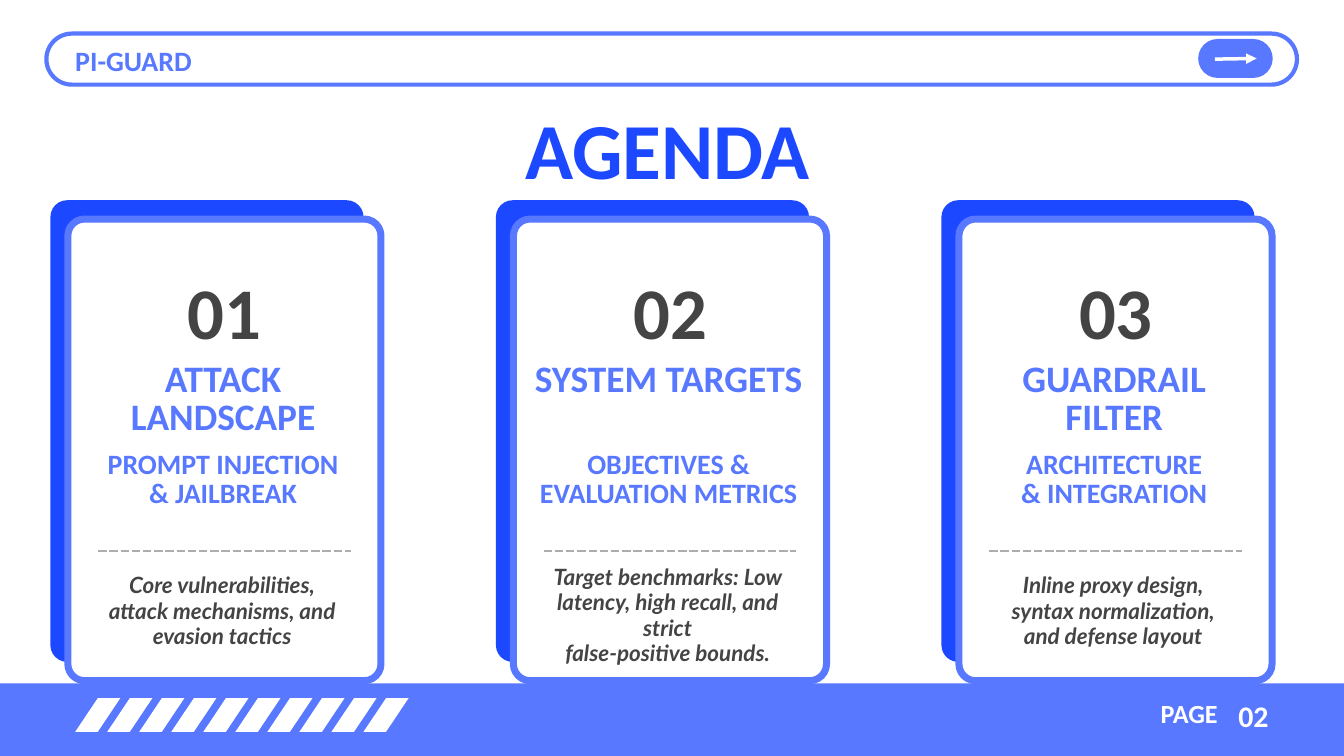
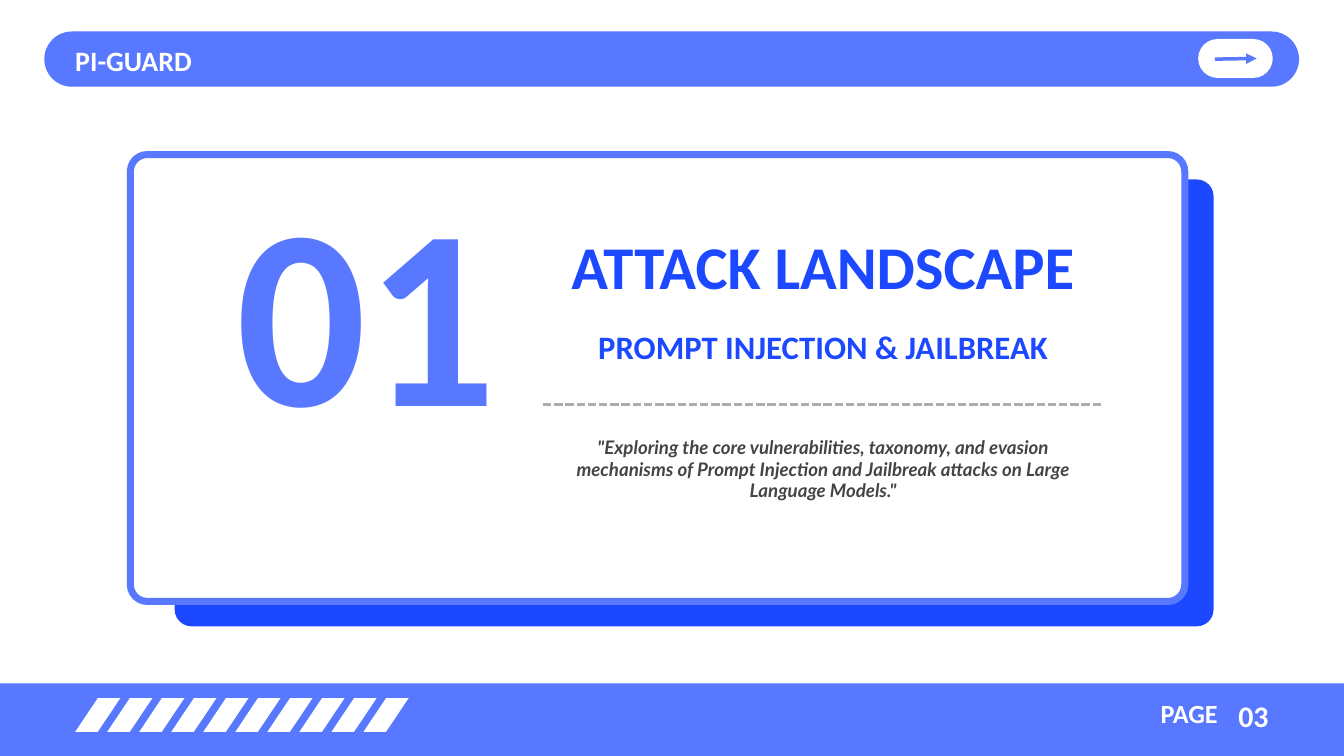
"""Build the agenda and first section slide of the PI-GUARD presentation."""
from pptx import Presentation
from pptx.dml.color import RGBColor
from pptx.enum.dml import MSO_LINE
from pptx.enum.shapes import MSO_CONNECTOR, MSO_SHAPE
from pptx.enum.text import MSO_ANCHOR, MSO_AUTO_SIZE, PP_ALIGN
from pptx.oxml.xmlchemy import OxmlElement
from pptx.util import Inches, Pt

RECTANGLE = MSO_SHAPE.RECTANGLE
ROUNDED = MSO_SHAPE.ROUNDED_RECTANGLE
PARALLELOGRAM = MSO_SHAPE.PARALLELOGRAM
STRAIGHT = MSO_CONNECTOR.STRAIGHT
DASH = MSO_LINE.SQUARE_DOT
TOP = MSO_ANCHOR.TOP
NO_AUTOFIT = MSO_AUTO_SIZE.NONE
LEFT, CENTER, RIGHT = PP_ALIGN.LEFT, PP_ALIGN.CENTER, PP_ALIGN.RIGHT

COLORS = {
    "white": "FFFFFF",
    "blue": "5778FF",
    "deep": "1C49FF",
    "ink": "444444",
    "grey": "ADADAD",
}
HEADING_FONT, BODY_FONT = "Calibri", "Lato"
TITLE_ONLY = 5
CORNER_RADIUS = 0.25
CARD_PITCH = 6.63
STRIPE_COUNT, STRIPE_PITCH = 10, 4.29 / 9

AGENDA_CARDS = [
    ("01", "ATTACK LANDSCAPE", ["PROMPT INJECTION", "& JAILBREAK"], 8.52,
     ["Core vulnerabilities, attack mechanisms, and evasion tactics"]),
    ("02", "SYSTEM TARGETS", ["OBJECTIVES & EVALUATION METRICS"], 8.4,
     ["Target benchmarks: Low latency, high recall, and strict",
      "false-positive bounds."]),
    ("03", "GUARDRAIL FILTER", ["ARCHITECTURE", "& INTEGRATION"], 8.52,
     ["Inline proxy design, syntax normalization, and defense layout"]),
]


def color(name):
    return RGBColor.from_string(COLORS[name])


def add_block(slide, kind, box, fill=None, line=None, width=0, adjustment=None):
    shape = slide.shapes.add_shape(kind, *map(Inches, box))
    shape.shadow.inherit = False
    if fill:
        shape.fill.solid()
        shape.fill.fore_color.rgb = color(fill)
    else:
        shape.fill.background()
    if line:
        shape.line.color.rgb = color(line)
        shape.line.width = Pt(width)
    else:
        shape.line.fill.background()
    if adjustment is not None:
        shape.adjustments[0] = adjustment


def add_card(slide, box, fill, line=None):
    add_block(slide, ROUNDED, box, fill, line, 7.5, CORNER_RADIUS / min(box[2:]))


def add_line(slide, start, end, line, width, dashed=False, arrow=False):
    connector = slide.shapes.add_connector(STRAIGHT, *map(Inches, start + end))
    connector.line.color.rgb = color(line)
    connector.line.width = Pt(width)
    if dashed:
        connector.line.dash_style = DASH
    if arrow:
        tail = OxmlElement("a:tailEnd")
        tail.set("type", "triangle")
        connector.line._get_or_add_ln().append(tail)
    connector._element.spPr.append(OxmlElement("a:effectLst"))


def prepare_frame(shape):
    frame = shape.text_frame
    frame.word_wrap = True
    frame.auto_size = NO_AUTOFIT
    frame.vertical_anchor = TOP
    frame.margin_left = frame.margin_right = 0
    frame.margin_top = frame.margin_bottom = 0
    return frame


def format_paragraph(paragraph, text, size, spacing, ink, align=CENTER,
                     font=HEADING_FONT, italic=False, before=0):
    paragraph.alignment = align
    paragraph.line_spacing = Pt(spacing)
    paragraph.space_before = Pt(before)
    run = paragraph.add_run()
    run.text = text
    run.font.name = font
    run.font.size = Pt(size)
    run.font.bold = True
    run.font.italic = italic
    run.font.color.rgb = color(ink)


def add_text(slide, box, lines, size, spacing, ink, **style):
    frame = prepare_frame(slide.shapes.add_textbox(*map(Inches, box)))
    for index, text in enumerate(lines):
        paragraph = frame.add_paragraph() if index else frame.paragraphs[0]
        format_paragraph(paragraph, text, size, spacing, ink, **style)


def set_title(slide, box, text, size, spacing):
    title = slide.shapes.title
    title.left, title.top, title.width, title.height = map(Inches, box)
    frame = prepare_frame(title)
    format_paragraph(frame.paragraphs[0], text, size, spacing, "deep")
    return frame


def add_header(slide, fill, accent):
    add_block(slide, ROUNDED, (0.69, 0.5, 18.61, 0.76), fill, "blue", 4.5, 0.5)
    add_block(slide, ROUNDED, (17.83, 0.58, 1.11, 0.58), accent, adjustment=0.5)
    add_line(slide, (18.08, 0.88), (18.7, 0.87), fill or "white", 3.75, arrow=True)
    add_text(slide, (1.12, 0.56, 12.43, 0.57), ["PI-GUARD"], 30, 42, accent, align=LEFT)


def add_footer(slide, page):
    add_block(slide, RECTANGLE, (0, 10.17, 20, 1.08), "blue")
    for index in range(STRIPE_COUNT):
        box = (1.12 + index * STRIPE_PITCH, 10.39, 0.67, 0.5)
        add_block(slide, PARALLELOGRAM, box, "white", adjustment=0.67)
    add_text(slide, (14.67, 10.45, 3.45, 0.41), ["PAGE"], 28, 28.3, "white", align=RIGHT)
    add_text(slide, (17.38, 10.3, 1.5, 0.59), [page], 32, 44.8, "white", align=RIGHT)


def add_agenda_card(slide, left, number, heading, topic, summary_top, summary):
    add_card(slide, (left, 2.98, 4.66, 6.87), "deep")
    add_card(slide, (left + 0.26, 3.26, 4.66, 6.87), "white", "blue")
    add_text(slide, (left + 0.26, 4.18, 4.67, 1.14), [number], 77.9, 78.7, "ink")
    add_text(slide, (left + 0.5, 5.39, 4.14, 1.14), [heading], 40, 40.4, "blue")
    add_text(slide, (left + 0.24, 6.73, 4.66, 0.86), topic, 30, 30.3, "blue")
    add_line(slide, (left + 0.71, 8.2), (left + 4.47, 8.2), "grey", 3, dashed=True)
    add_text(slide, (left + 0.79, summary_top, 3.53, 1.12), summary, 24, 27.3, "ink",
             font=BODY_FONT, italic=True)


def build_agenda(presentation):
    slide = presentation.slides.add_slide(presentation.slide_layouts[TITLE_ONLY])
    add_footer(slide, "02")
    add_header(slide, None, "blue")
    set_title(slide, (5.36, 1.71, 9.15, 1.23), "AGENDA", 85, 85.8)
    for index, card in enumerate(AGENDA_CARDS):
        add_agenda_card(slide, 0.75 + index * CARD_PITCH, *card)


def build_section(presentation):
    slide = presentation.slides.add_slide(presentation.slide_layouts[TITLE_ONLY])
    add_footer(slide, "03")
    add_header(slide, "blue", "white")
    add_card(slide, (2.6, 2.67, 15.46, 6.65), "deep")
    add_card(slide, (1.94, 2.3, 15.69, 6.65), "white", "blue")
    add_text(slide, (2.39, 2.95, 6.14, 4.03), ["01"], 275, 277.8, "blue")
    frame = set_title(slide, (7.65, 3.85, 9.2, 1.6), "ATTACK LANDSCAPE", 65, 45.5)
    format_paragraph(frame.add_paragraph(), "PROMPT INJECTION & JAILBREAK",
                     35, 24.5, "deep", before=45.5)
    title = slide.shapes.title._element
    title.getparent().append(title)
    add_line(slide, (8.08, 6.02), (16.4, 6.02), "grey", 3, dashed=True)
    add_text(slide, (8.37, 6.51, 7.76, 0.94),
             ['"Exploring the core vulnerabilities, taxonomy, and evasion mechanisms of '
              'Prompt Injection and Jailbreak attacks on Large Language Models."'],
             20, 22.8, "ink", font=BODY_FONT, italic=True)


def main():
    presentation = Presentation()
    presentation.slide_width = Inches(20)
    presentation.slide_height = Inches(11.25)
    build_agenda(presentation)
    build_section(presentation)
    presentation.save("out.pptx")


if __name__ == "__main__":
    main()
